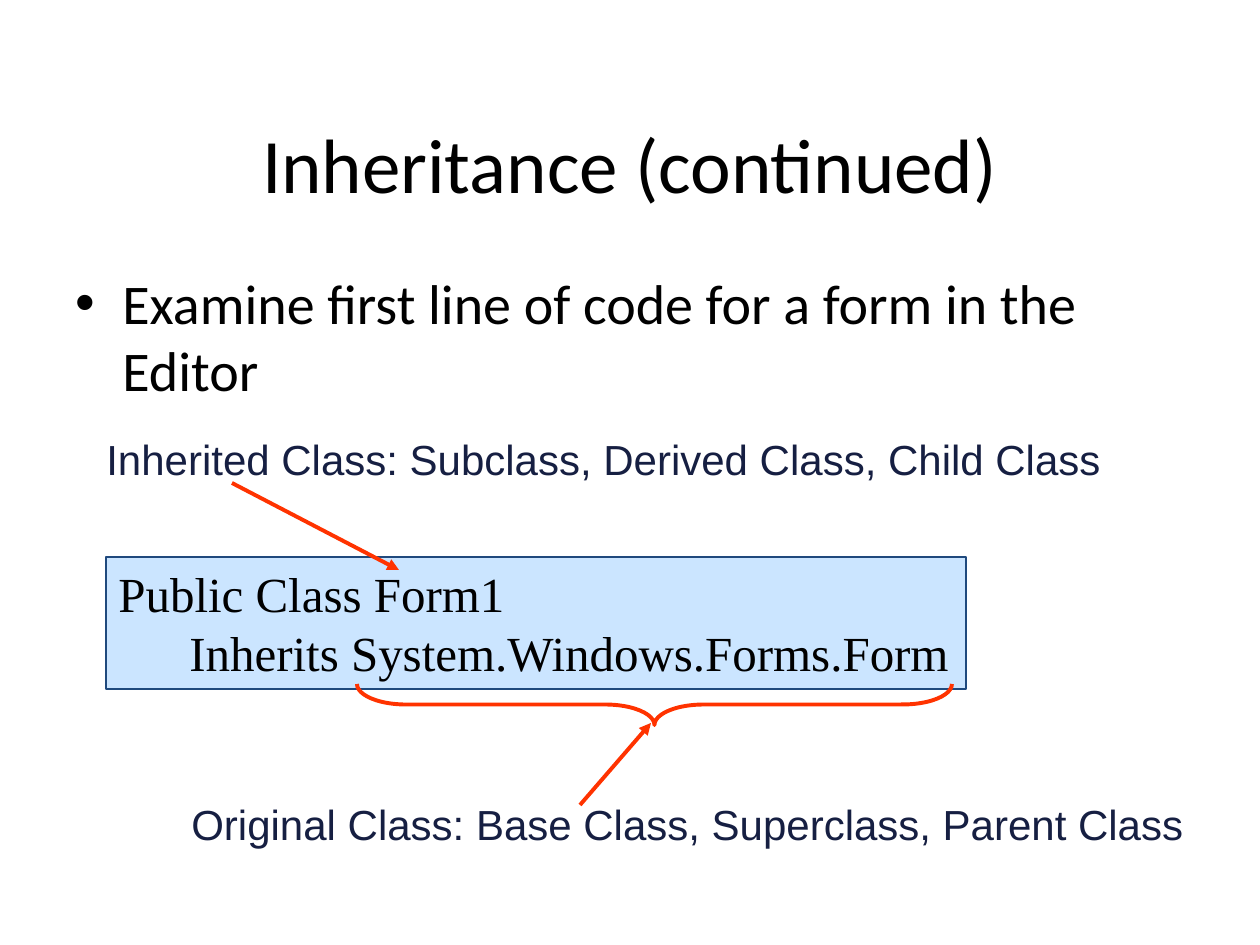
from lxml.etree import SubElement
from pptx import Presentation
from pptx.dml.color import RGBColor
from pptx.enum.shapes import MSO_CONNECTOR, MSO_SHAPE
from pptx.enum.text import MSO_ANCHOR, PP_ALIGN
from pptx.oxml.ns import qn
from pptx.util import Pt

EMU_PER_PX = 914400 / 126
COLORS = {
    "text": "000000",
    "label": "161F42",
    "code_fill": "CBE5FF",
    "code_line": "1F497D",
    "marker": "FF3300",
}


def px(*lengths):
    return [round(length * EMU_PER_PX) for length in lengths]


def rgb(name):
    return RGBColor.from_string(COLORS[name])


def write(holder, *lines, font, size, color="text", align=PP_ALIGN.LEFT,
          anchor=MSO_ANCHOR.TOP, wrap=True):
    frame = holder.text_frame
    frame.word_wrap = wrap
    frame.vertical_anchor = anchor
    frame.text = "\n".join(lines)
    for paragraph in frame.paragraphs:
        paragraph.alignment = align
        for run in paragraph.runs:
            run.font.name = font
            run.font.size = Pt(size)
            run.font.color.rgb = rgb(color)
    return frame.paragraphs


def indent(paragraph, left, first=0):
    properties = paragraph._p.get_or_add_pPr()
    margin, offset = px(left, first)
    properties.set("marL", str(margin))
    properties.set("indent", str(offset))
    return properties


def add_title(slide, title):
    heading = slide.shapes.title
    heading.left, heading.top, heading.width, heading.height = px(63, 84, 1134, 158)
    write(heading, title, font="Calibri", size=44,
          align=PP_ALIGN.CENTER, anchor=MSO_ANCHOR.MIDDLE)


def add_bullet(slide, statement):
    body = slide.shapes.add_textbox(*px(63, 262, 1134, 582))
    paragraph, = write(body, statement, font="Calibri", size=32)
    paragraph.space_before = Pt(6.4)
    properties = indent(paragraph, 47, -47)
    SubElement(properties, qn("a:buFont"), typeface="Arial")
    SubElement(properties, qn("a:buChar"), char="•")


def add_code(slide, declaration, inheritance):
    code = slide.shapes.add_shape(MSO_SHAPE.RECTANGLE, *px(106, 557, 860, 132))
    code.shadow.inherit = False
    code.fill.solid()
    code.fill.fore_color.rgb = rgb("code_fill")
    code.line.color.rgb = rgb("code_line")
    code.line.width = Pt(1)
    paragraphs = write(code, declaration, inheritance, font="Times New Roman",
                       size=28, wrap=False)
    indent(paragraphs[1], 71)


def add_label(slide, caption, left, top, width):
    label = slide.shapes.add_textbox(*px(left, top, width, 63))
    write(label, caption, font="Arial", size=24, color="label", wrap=False)


def style_marker(marker):
    marker.line.color.rgb = rgb("marker")
    marker.line.width = Pt(2.25)


def add_arrow(slide, start, end):
    arrow = slide.shapes.add_connector(MSO_CONNECTOR.STRAIGHT, *px(*start, *end))
    style_marker(arrow)
    SubElement(arrow.line._get_or_add_ln(), qn("a:tailEnd"), type="triangle")
    SubElement(arrow._element.spPr, qn("a:effectLst"))


def add_brace(slide):
    brace = slide.shapes.add_shape(MSO_SHAPE.LEFT_BRACE, *px(634, 407, 41, 595))
    brace.rotation = 270
    brace.adjustments[0] = 1.2
    brace.shadow.inherit = False
    brace.fill.background()
    style_marker(brace)


def main():
    presentation = Presentation()
    presentation.slide_width, presentation.slide_height = px(1260, 945)
    slide = presentation.slides.add_slide(presentation.slide_layouts[5])
    add_title(slide, "Inheritance (continued)")
    add_bullet(slide, "Examine first line of code for a form in the Editor")
    add_code(slide, "Public Class Form1", "Inherits System.Windows.Forms.Form")
    add_label(slide, "Inherited Class: Subclass, Derived Class, Child Class", 94, 427, 1021)
    add_label(slide, "Original Class: Base Class, Superclass, Parent Class", 179, 792, 1018)
    add_arrow(slide, (232, 483), (399, 570))
    add_arrow(slide, (580, 805), (651, 723))
    add_brace(slide)
    presentation.save("out.pptx")


if __name__ == "__main__":
    main()
